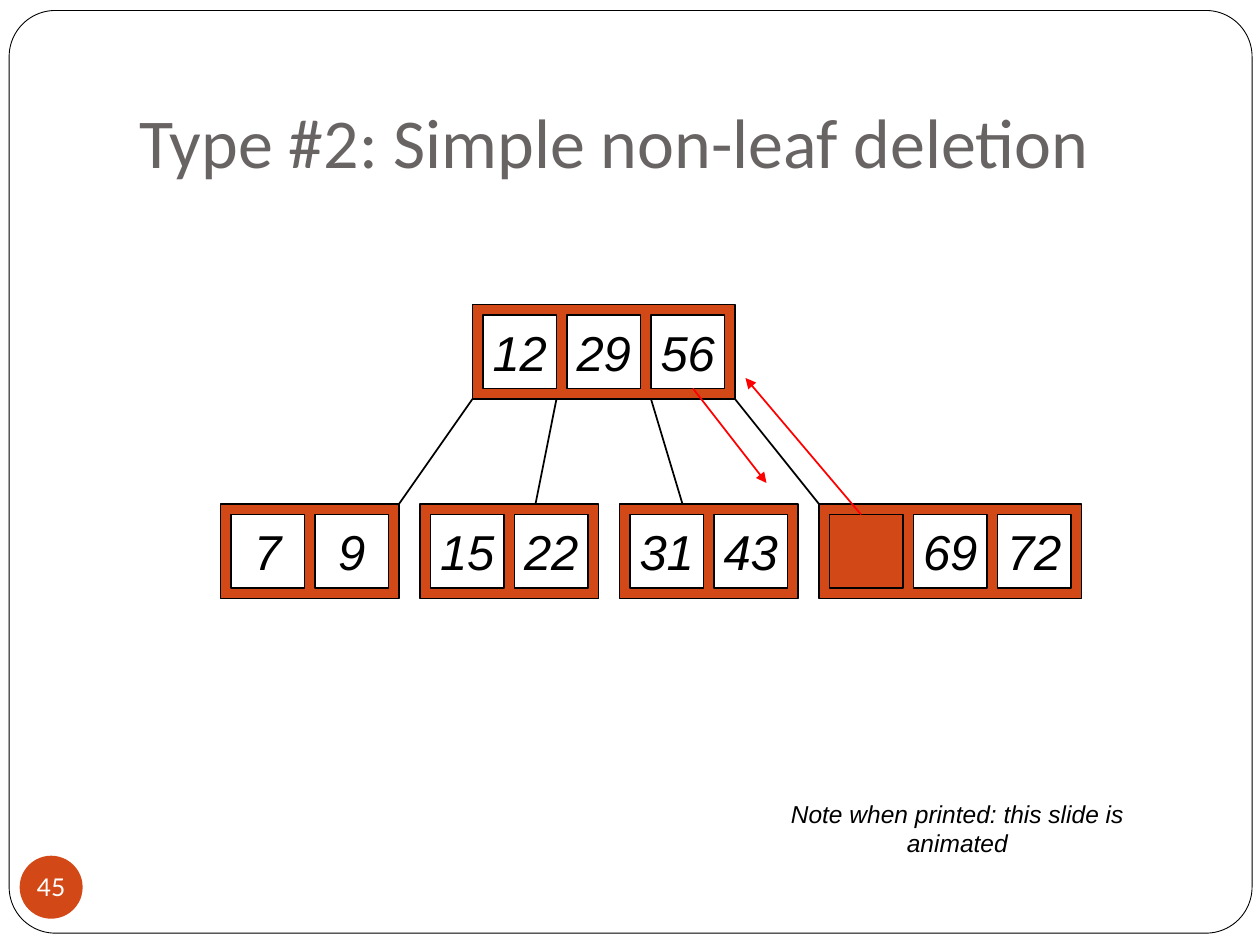
from lxml.etree import SubElement
from pptx import Presentation
from pptx.dml.color import RGBColor
from pptx.enum.shapes import MSO_CONNECTOR, MSO_SHAPE
from pptx.enum.text import MSO_ANCHOR, PP_ALIGN
from pptx.oxml.ns import qn
from pptx.util import Pt

EMU_PER_PX = 9525
COLORS = {
    "white": "FFFFFF",
    "black": "000000",
    "orange": "D34817",
    "gray": "696464",
    "red": "FF0000",
}
CELL, PADDING = 56, 8
PITCH = CELL + PADDING
NODE_HEIGHT = CELL + 2 * PADDING
ROOT_LEFT, ROOT_TOP = 360, 232
LEAF_LEFT, LEAF_TOP, LEAF_GAP = 168, 384, 16
LEAVES = [["7", "9"], ["15", "22"], ["31", "43"], [None, "69", "72"]]
BRANCHES = [(360, 304), (424, 408), (496, 520), (560, 624)]


def px(length):
    return length * EMU_PER_PX


def color(name):
    return RGBColor.from_string(COLORS[name])


class TreeSlide:
    def __init__(self, slide):
        self.slide = slide

    def label(self, shape, text, size, font="Arial", ink="black", italic=False,
              align=PP_ALIGN.CENTER, anchor=MSO_ANCHOR.MIDDLE, wrap=False,
              margins=(0, 0, 0, 0)):
        """Fill a shape with one styled paragraph; margins are left, top, right, bottom."""
        frame = shape.text_frame
        frame.text = text
        frame.word_wrap = wrap
        frame.vertical_anchor = anchor
        (frame.margin_left, frame.margin_top,
         frame.margin_right, frame.margin_bottom) = map(px, margins)
        paragraph = frame.paragraphs[0]
        paragraph.alignment = align
        run_font = paragraph.runs[0].font
        run_font.name = font
        run_font.size = Pt(size)
        run_font.italic = italic
        run_font.color.rgb = color(ink)

    def text_box(self, box, text, size, **style):
        shape = self.slide.shapes.add_textbox(*map(px, box))
        self.label(shape, text, size, wrap=True, **style)

    def shape(self, kind, box, fill, line_width=1):
        shape = self.slide.shapes.add_shape(kind, *map(px, box))
        shape.shadow.inherit = False
        shape.fill.solid()
        shape.fill.fore_color.rgb = color(fill)
        if line_width:
            shape.line.color.rgb = color("black")
            shape.line.width = Pt(line_width)
        else:
            shape.line.fill.background()
        return shape

    def node(self, left, top, keys):
        """Draw a tree node and return its width; a key of None is an emptied cell."""
        width = len(keys) * PITCH + PADDING
        self.shape(MSO_SHAPE.RECTANGLE, (left, top, width, NODE_HEIGHT), "orange")
        for index, key in enumerate(keys):
            box = (left + PADDING + index * PITCH, top + PADDING, CELL, CELL)
            cell = self.shape(MSO_SHAPE.RECTANGLE, box, "white" if key else "orange")
            if key:
                self.label(cell, key, 28, italic=True)
        return width

    def line(self, start, end, ink="black", arrow=False):
        connector = self.slide.shapes.add_connector(
            MSO_CONNECTOR.STRAIGHT, *map(px, start + end))
        connector.line.color.rgb = color(ink)
        connector.line.width = Pt(1)
        properties = connector._element.spPr
        if arrow:
            SubElement(properties.find(qn("a:ln")), qn("a:tailEnd"), type="triangle")
        SubElement(properties, qn("a:effectLst"))


def main():
    presentation = Presentation()
    presentation.slide_width, presentation.slide_height = px(960), px(720)
    tree = TreeSlide(presentation.slides.add_slide(presentation.slide_layouts[6]))

    frame = tree.shape(MSO_SHAPE.ROUNDED_RECTANGLE, (7, 8, 947, 703), "white", 0.5)
    frame.adjustments[0] = 0.05
    tree.text_box((96, 29, 816, 120), "Type #2: Simple non-leaf deletion", 40,
                  font="Calibri", ink="gray", align=PP_ALIGN.LEFT,
                  anchor=MSO_ANCHOR.BOTTOM, margins=(10, 5, 10, 10))

    tree.node(ROOT_LEFT, ROOT_TOP, ["12", "29", "56"])
    left = LEAF_LEFT
    for keys in LEAVES:
        left += tree.node(left, LEAF_TOP, keys) + LEAF_GAP
    for parent_x, child_x in BRANCHES:
        tree.line((parent_x, ROOT_TOP + NODE_HEIGHT), (child_x, LEAF_TOP))
    tree.line((528, 296), (584, 368), "red", arrow=True)
    tree.line((656, 392), (568, 288), "red", arrow=True)

    tree.text_box((553, 615, 353, 32), "Note when printed: this slide is animated", 14,
                  italic=True, margins=(20, 5, 20, 5))
    badge = tree.shape(MSO_SHAPE.OVAL, (15, 652, 48, 48), "orange", line_width=0)
    tree.label(badge, "45", 14, font="Lato", ink="white")
    presentation.save("out.pptx")


if __name__ == "__main__":
    main()
